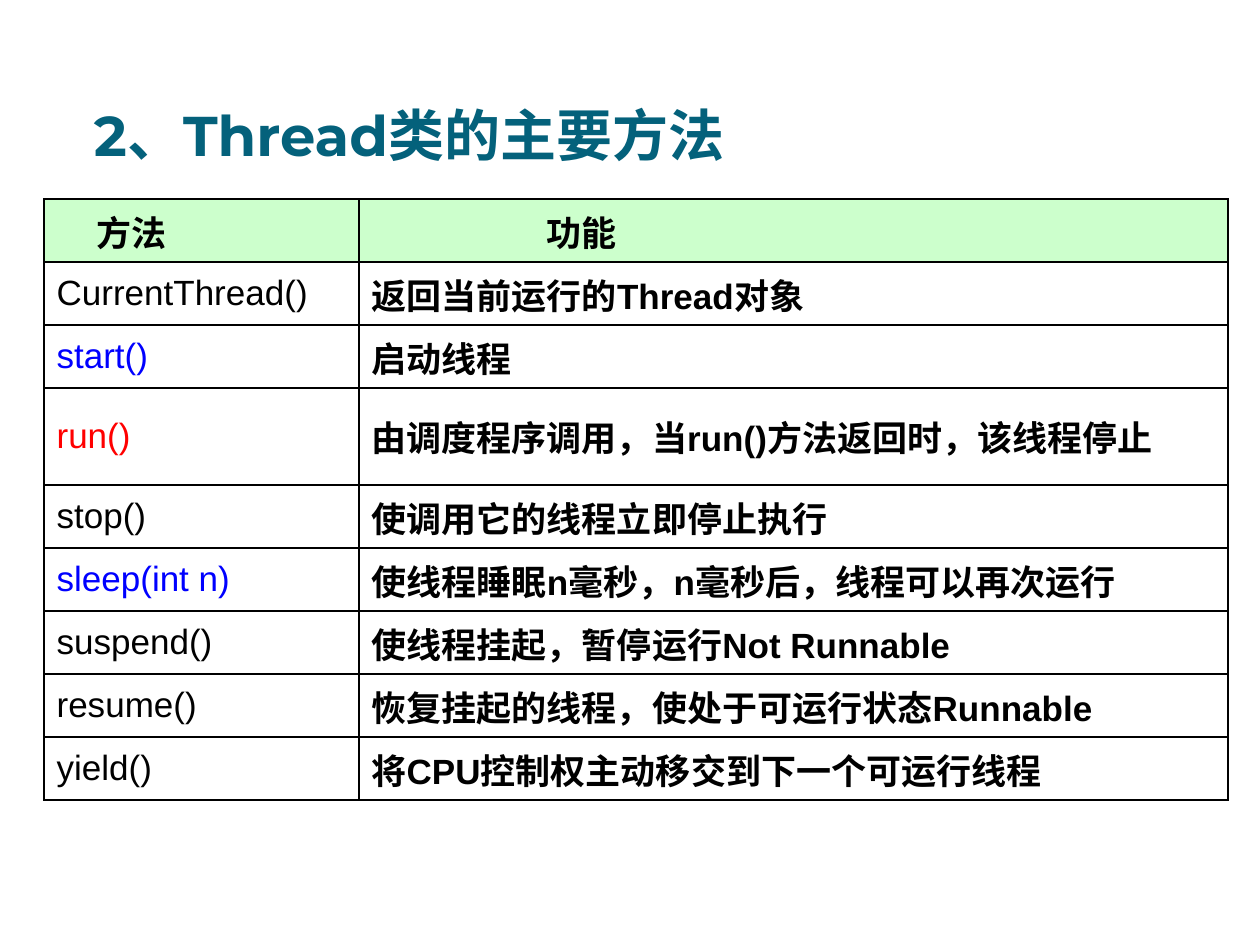
"""Build a slide that lists the main methods of the Thread class."""
from typing import NamedTuple

from lxml.etree import SubElement as Sub
from pptx import Presentation as Deck
from pptx.dml.color import RGBColor as Color
from pptx.enum.text import MSO_ANCHOR as Anchor
from pptx.oxml.ns import qn
from pptx.util import Emu, Pt

SCALE = 914400 / 126
BLACK = Color(0, 0, 0)
BLUE = Color(0, 0, 255)
RED = Color(255, 0, 0)
TEAL = Color(0x04, 0x61, 0x7B)
GREEN = Color(0xCC, 0xFF, 0xCC)
WHITE = Color(255, 255, 255)
COLS = (315, 869)
LEADS = (40, 175)
ROW, TALL = 63, 97
HANG = 32


class Method(NamedTuple):
    name: str
    role: str
    color: Color = BLACK
    height: int = ROW


METHODS = (
    Method("CurrentThread()", "返回当前运行的Thread对象"),
    Method("start()", "启动线程", BLUE),
    Method("run()", "由调度程序调用，当run()方法返回时，该线程停止", RED, TALL),
    Method("stop()", "使调用它的线程立即停止执行"),
    Method("sleep(int n)", "使线程睡眠n毫秒，n毫秒后，线程可以再次运行", BLUE),
    Method("suspend()", "使线程挂起，暂停运行Not Runnable"),
    Method("resume()", "恢复挂起的线程，使处于可运行状态Runnable"),
    Method("yield()", "将CPU控制权主动移交到下一个可运行线程"),
)


def px(count: int) -> Emu:
    """Turn px into EMU."""
    return Emu(round(count * SCALE))


def write(para, text: str, size: int, face: str, color: Color, bold: bool) -> None:
    """Add one styled run."""
    run = para.add_run()
    run.text = text
    font = run.font
    font.size, font.name, font.bold = Pt(size), face, bold
    font.color.rgb = color


def edge(cell) -> None:
    """Rule all four sides of a cell."""
    props = cell._tc.get_or_add_tcPr()
    for side in ("lnL", "lnR", "lnT", "lnB"):
        line = Sub(props, qn(f"a:{side}"), w=str(Pt(0.75)))
        fill = Sub(line, qn("a:solidFill"))
        Sub(fill, qn("a:srgbClr"), val=str(BLACK))


def draw_cell(cell, text: str, color: Color, bold: bool, back: Color, lead: int = 0) -> None:
    """Fill a cell with one hanging paragraph."""
    edge(cell)
    cell.fill.solid()
    cell.fill.fore_color.rgb = back
    cell.vertical_anchor = Anchor.MIDDLE
    para = cell.text_frame.paragraphs[0]
    props = para._p.get_or_add_pPr()
    props.set("marL", str(px(lead + HANG)))
    props.set("indent", str(-px(HANG)))
    write(para, text, 20, "Arial", color, bold)


def draw_title(slide, text: str) -> None:
    """Place the heading."""
    box = slide.shapes.add_textbox(px(94), px(84), px(1045), px(84))
    frame = box.text_frame
    frame.word_wrap = True
    frame.vertical_anchor = Anchor.BOTTOM
    frame.margin_left = frame.margin_right = frame.margin_bottom = 0
    write(frame.paragraphs[0], text, 32, "Montserrat", TEAL, True)


def draw_table(slide, heads: tuple[str, str], methods: tuple[Method, ...]) -> None:
    """Place the table of methods."""
    high = ROW + sum(item.height for item in methods)
    frame = slide.shapes.add_table(
        len(methods) + 1, len(COLS), px(44), px(199), px(sum(COLS)), px(high))
    table = frame.table
    table.first_row = table.horz_banding = False
    for col, wide in zip(table.columns, COLS):
        col.width = px(wide)
    table.rows[0].height = px(ROW)
    for spot, (head, lead) in enumerate(zip(heads, LEADS)):
        draw_cell(table.cell(0, spot), head, BLACK, True, GREEN, lead)
    for row, item in enumerate(methods, 1):
        table.rows[row].height = px(item.height)
        draw_cell(table.cell(row, 0), item.name, item.color, False, WHITE)
        draw_cell(table.cell(row, 1), item.role, BLACK, True, WHITE)


def main() -> None:
    """Build and save the deck."""
    deck = Deck()
    deck.slide_width, deck.slide_height = px(1260), px(945)
    slide = deck.slides.add_slide(deck.slide_layouts[6])
    draw_title(slide, "2、Thread类的主要方法")
    draw_table(slide, ("方法", "功能"), METHODS)
    deck.save("out.pptx")


if __name__ == "__main__":
    main()
